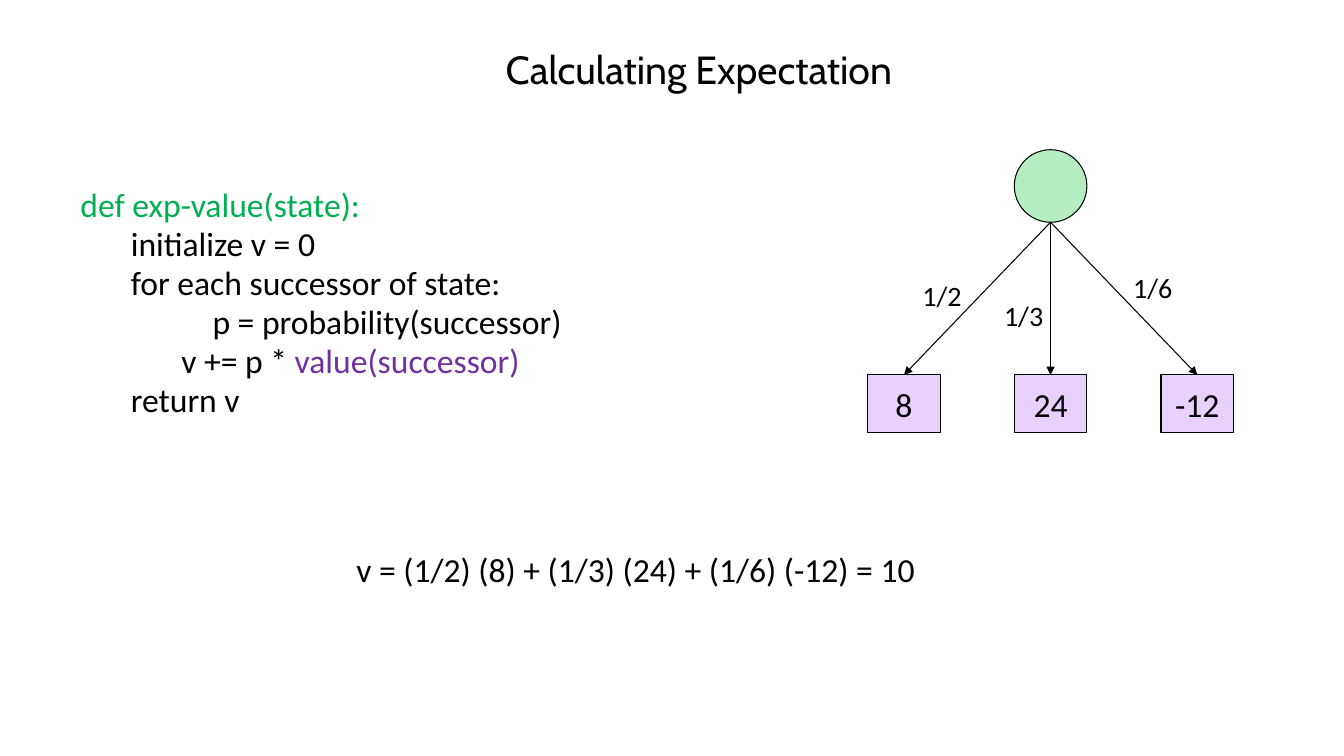
import pptx
import pptx.util
import pptx.dml.color
import pptx.enum.shapes
import pptx.enum.text
import pptx.oxml
import pptx.oxml.ns

Inches, Pt = pptx.util.Inches, pptx.util.Pt
RGBColor = pptx.dml.color.RGBColor
Shapes = pptx.enum.shapes.MSO_SHAPE
Align, Anchor = pptx.enum.text.PP_ALIGN, pptx.enum.text.MSO_ANCHOR

BLACK = RGBColor(0x00, 0x00, 0x00)
GREEN = RGBColor(0x00, 0xB0, 0x50)
PURPLE = RGBColor(0x70, 0x30, 0xA0)
MINT = RGBColor(0xB5, 0xED, 0xC2)
LILAC = RGBColor(0xE8, 0xD1, 0xFF)


def add_run(paragraph, text, size=24, color=BLACK, font="Calibri"):
    run = paragraph.add_run()
    run.text = text
    run.font.size = Pt(size)
    run.font.name = font
    run.font.color.rgb = color


def add_node(preset, center, top, height, fill):
    """Add a thinly outlined tree node centred on a column."""
    node = slide.shapes.add_shape(
        preset, Inches(center - NODE / 2), Inches(top), Inches(NODE), Inches(height))
    node.shadow.inherit = False
    node.fill.solid()
    node.fill.fore_color.rgb = fill
    node.line.color.rgb = BLACK
    node.line.width = Pt(0.75)
    return node


deck = pptx.Presentation()
deck.slide_width, deck.slide_height = Inches(13.33), Inches(7.5)
slide = deck.slides.add_slide(deck.slide_layouts[5])

# Title
title = slide.shapes.title
title.left, title.top = Inches(1.63), Inches(0.4)
title.width, title.height = Inches(10.6), Inches(0.57)
title.text_frame.auto_size = pptx.enum.text.MSO_AUTO_SIZE.NONE
title.text_frame.vertical_anchor = Anchor.TOP
heading = title.text_frame.paragraphs[0]
heading.alignment = Align.CENTER
add_run(heading, "Calculating Expectation", 28, font="Cabin")

# Pseudocode: indent in inches, then the coloured pieces of each line
CODE = [
    (0, [("def exp-value(state):", GREEN)]),
    (0.5, [("initialize v = 0", BLACK)]),
    (0.5, [("for each successor of state:", BLACK)]),
    (1.31, [("p = probability(successor)", BLACK)]),
    (1, [("v += p * ", BLACK), ("value(successor)", PURPLE)]),
    (0.5, [("return v", BLACK)]),
]
code = slide.shapes.add_textbox(Inches(0.7), Inches(1.85), Inches(5.24), Inches(2.45)).text_frame
code.word_wrap = True
for row, (indent, pieces) in enumerate(CODE):
    line = code.add_paragraph() if row else code.paragraphs[0]
    line.line_spacing = 0.8
    line.space_before = Pt(4.8 if row else 12)
    line._p.get_or_add_pPr().set("marL", str(Inches(indent)))
    for text, color in pieces:
        add_run(line, text, color=color)

# Expectation tree: one chance node above three equally spaced outcomes
NODE, COLUMN_GAP, ROOT_X = 0.72, 1.455, 10.42
ROOT_TOP, LEAF_TOP = 1.485, 3.72
add_node(Shapes.OVAL, ROOT_X, ROOT_TOP, NODE, MINT)

OUTCOMES = [("8", "1/2", 9.05, 2.71), ("24", "1/3", 9.86, 2.91), ("-12", "1/6", 11.14, 2.63)]
for column, (value, chance, chance_x, chance_y) in enumerate(OUTCOMES, start=-1):
    leaf_x = ROOT_X + column * COLUMN_GAP
    leaf = add_node(Shapes.RECTANGLE, leaf_x, LEAF_TOP, 0.57, LILAC)
    leaf.text_frame.word_wrap = False
    leaf.text_frame.vertical_anchor = Anchor.MIDDLE
    leaf.text_frame.paragraphs[0].alignment = Align.CENTER
    add_run(leaf.text_frame.paragraphs[0], value)

    branch = slide.shapes.add_connector(
        pptx.enum.shapes.MSO_CONNECTOR.STRAIGHT,
        Inches(ROOT_X), Inches(ROOT_TOP + NODE), Inches(leaf_x), Inches(LEAF_TOP))
    branch.end_connect(leaf, 0)
    branch.line.color.rgb = BLACK
    branch.line.width = Pt(0.75)
    arrowhead = pptx.oxml.parse_xml(
        f'<a:tailEnd {pptx.oxml.ns.nsdecls("a")} type="triangle"/>')
    branch.line._get_or_add_ln().append(arrowhead)
    branch._element.spPr.append(
        pptx.oxml.parse_xml(f'<a:effectLst {pptx.oxml.ns.nsdecls("a")}/>'))

    label = slide.shapes.add_textbox(
        Inches(chance_x), Inches(chance_y), Inches(0.92), Inches(0.44)).text_frame
    label.word_wrap = True
    add_run(label.paragraphs[0], chance, 20)

# Worked result
result = slide.shapes.add_textbox(Inches(2.99), Inches(5.4), Inches(6.63), Inches(0.5)).text_frame
result.word_wrap = True
result.paragraphs[0].alignment = Align.CENTER
add_run(result.paragraphs[0], "v = (1/2) (8) + (1/3) (24) + (1/6) (-12) = 10")

deck.save("out.pptx")
